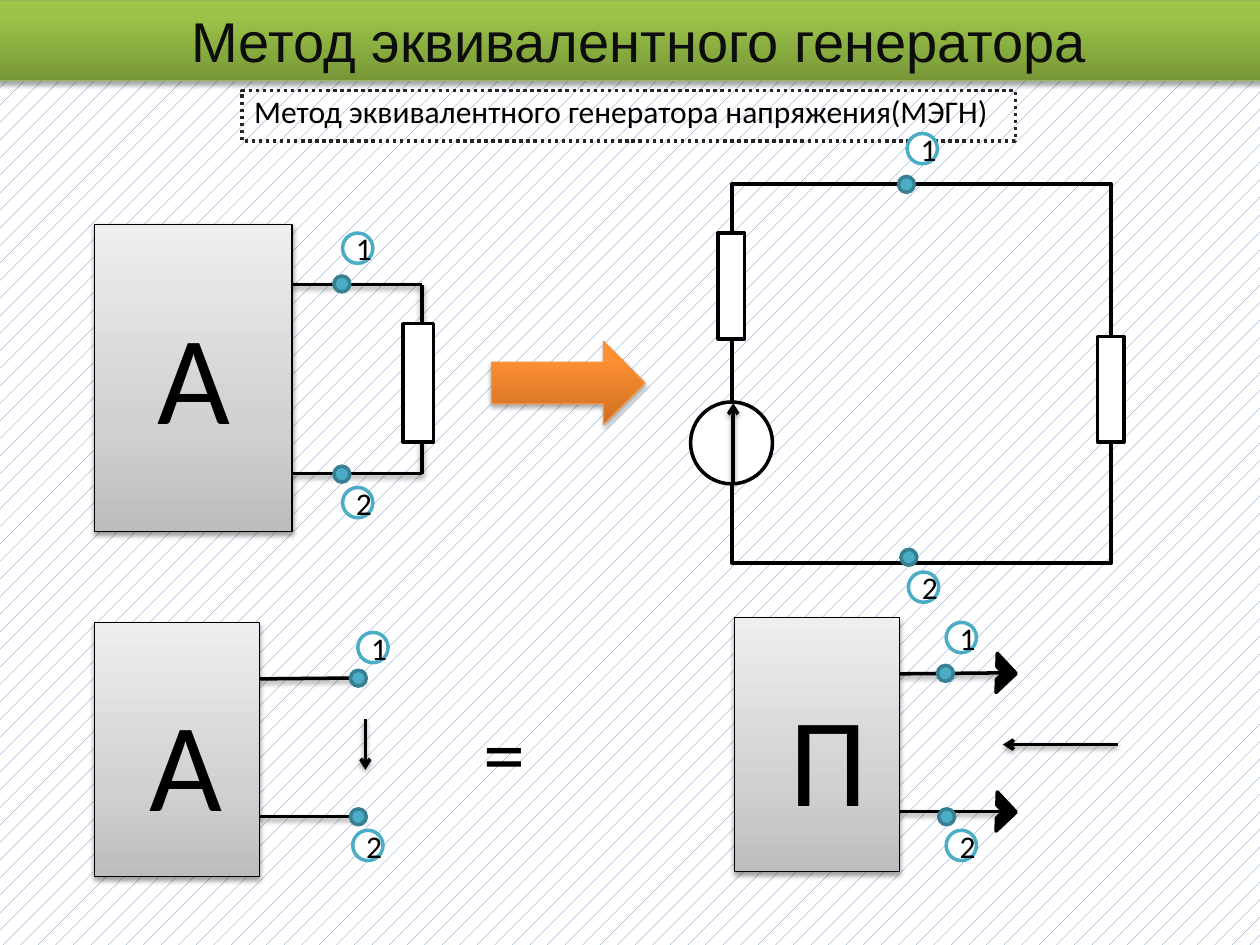
from lxml import etree
from pptx import Presentation
from pptx.dml.color import RGBColor
from pptx.enum.dml import MSO_LINE, MSO_PATTERN
from pptx.enum.shapes import MSO_CONNECTOR, MSO_SHAPE as Kind
from pptx.enum.text import MSO_ANCHOR, MSO_AUTO_SIZE, PP_ALIGN
from pptx.oxml.ns import qn
from pptx.util import Pt

COLORS = {
    "black": "000000", "white": "FFFFFF", "hatch": "4F81BD",
    "title": "0D0D0D", "frame": "262626", "band_line": "98B955",
    "arrow_line": "F69240", "dot": "4BACC6", "dot_line": "377F92",
}
GRADIENTS = {  # bottom to top
    "gray": [(0, "BDBDBD"), (35, "D1D1D1"), (100, "EEEEEE")],
    "orange": [(0, "CC6E20"), (80, "FF9034"), (100, "FF9136")],
    "green": [(0, "779737"), (80, "9BC348"), (100, "9DC746")],
}
SOFT, STRONG = (38, 1.6), (35, 1.8)  # shadow opacity in percent, distance
DOT, LABEL, HEAD = 9.1, 17.3, 15.8

TITLE = "Метод эквивалентного генератора"
SUBTITLE = "Метод эквивалентного генератора напряжения(МЭГН)"

WIRES = [  # x1, y1, x2, y2
    (133.2, 388.1, 207.4, 387.4), (133.2, 466.6, 207.4, 466.6),
    (121.7, 162.7, 241.2, 162.7), (241.2, 162.7, 241.2, 270.7),
    (241.2, 270.7, 121.7, 270.7),
    (499, 385.2, 573.1, 384.5), (490.3, 463.7, 573.1, 463.7),
]
ARROWS = [
    (208.8, 411.1, 208.8, 439.9), (419, 277.2, 419, 230.4),
    (638.6, 425.5, 573.1, 425.5),
]
BLOCKS = [  # left, top, width, height
    (54, 128.2, 113, 175.7), (54, 355.7, 94.3, 145.4),
    (419.8, 352.8, 94.3, 145.4),
]
LETTERS = [  # text, size, wrap, place
    ("А", 72, True, (82.8, 167, 131.8, 94.3)),
    ("А", 72, True, (78.5, 388.1, 109.4, 78.5)),
    ("П", 72, True, (444.2, 385.2, 109.4, 94.3)),
    ("=", 48, False, (269.3, 396.7, 32.4, 54)),
    (SUBTITLE, 18, False, (138.2, 49, 438.5, 28.8)),
]
RESISTORS = [
    (230.4, 185, 17.3, 67.7), (410.4, 133.2, 15.1, 60.5),
    (627.1, 192.2, 15.1, 60.5),
]
TERMINALS = [  # number, dot corner, label corner
    ("1", (190.8, 157.7), (195.8, 133.2)), ("2", (190.8, 266.4), (195.8, 278.6)),
    ("1", (513.4, 100.8), (518.4, 76.3)), ("2", (514.8, 313.9), (519.1, 326.9)),
    ("1", (200.2, 383), (204.5, 361.4)), ("2", (200.2, 462.2), (201.6, 474.5)),
    ("1", (535.7, 380.2), (540.7, 355.7)), ("2", (536.4, 462.2), (540.7, 474.5)),
]
HEADS = [(561.6, 376.6), (561.6, 455.8)]


def rgb(name):
    return RGBColor.from_string(COLORS[name])


def node(parent, tag, **values):
    return etree.SubElement(parent, qn(tag), {k: str(v) for k, v in values.items()})


def add_shadow(effects, shadow):
    opacity, distance = shadow
    outer = node(effects, "a:outerShdw", blurRad=Pt(3.1), dist=Pt(distance),
                 dir=5400000, rotWithShape=0)
    color = node(outer, "a:srgbClr", val=COLORS["black"])
    node(color, "a:alpha", val=opacity * 1000)


def paint_gradient(shape, stops):
    shape.fill.solid()
    solid = shape._element.spPr.find(qn("a:solidFill"))
    gradient = etree.Element(qn("a:gradFill"), rotWithShape="1")
    stop_list = node(gradient, "a:gsLst")
    for position, color in stops:
        stop = node(stop_list, "a:gs", pos=position * 1000)
        node(stop, "a:srgbClr", val=color)
    node(gradient, "a:lin", ang=16200000, scaled=0)
    solid.getparent().replace(solid, gradient)


def write(shape, text, size, color="black", font="Calibri", align=PP_ALIGN.CENTER):
    para = shape.text_frame.paragraphs[0]
    para.alignment = align
    span = para.add_run()
    span.text = text
    for key, value in {"size": Pt(size), "name": font}.items():
        setattr(span.font, key, value)
    span.font.color.rgb = rgb(color)


def add_figure(page, kind, place, fill=None, line="black", weight=2, shadow=None):
    shape = page.shapes.add_shape(kind, *map(Pt, place))
    if fill in GRADIENTS:
        paint_gradient(shape, GRADIENTS[fill])
    elif fill:
        shape.fill.solid()
        shape.fill.fore_color.rgb = rgb(fill)
    else:
        shape.fill.background()
    shape.line.color.rgb = rgb(line)
    shape.line.width = Pt(weight)
    shape.shadow.inherit = False
    if shadow:
        add_shadow(shape._element.spPr.find(qn("a:effectLst")), shadow)
    return shape


def add_wire(page, ends, arrow=False):
    wire = page.shapes.add_connector(MSO_CONNECTOR.STRAIGHT, *map(Pt, ends))
    wire.line.color.rgb = rgb("black")
    wire.line.width = Pt(2)
    if arrow:
        node(wire.line._get_or_add_ln(), "a:tailEnd", type="arrow")
    add_shadow(node(wire._element.spPr, "a:effectLst"), SOFT)


def add_text(page, text, size, wrap, place):
    box = page.shapes.add_textbox(*map(Pt, place))
    box.text_frame.word_wrap = wrap
    box.text_frame.auto_size = MSO_AUTO_SIZE.SHAPE_TO_FIT_TEXT
    write(box, text, size, align=PP_ALIGN.LEFT)


def main():
    deck = Presentation()
    deck.slide_width, deck.slide_height = Pt(720), Pt(540)
    page = deck.slides.add_slide(deck.slide_layouts[6])
    backdrop = page.background.fill
    backdrop.patterned()
    backdrop.pattern = MSO_PATTERN.PERCENT_5
    backdrop.fore_color.rgb = rgb("hatch")
    backdrop.back_color.rgb = rgb("white")

    band = add_figure(page, Kind.RECTANGLE, (-8.6, 0, 748, 46), "green",
                      "band_line", 0.75, STRONG)
    band.text_frame.vertical_anchor = MSO_ANCHOR.TOP
    write(band, TITLE, 32, "title", "Arial")
    frame = add_figure(page, Kind.RECTANGLE, (138.2, 51.8, 442, 28.8), line="frame")
    frame.line.dash_style = MSO_LINE.ROUND_DOT

    for ends in WIRES:
        add_wire(page, ends)
    for place in BLOCKS:
        add_figure(page, Kind.RECTANGLE, place, "gray", weight=0.75, shadow=SOFT)
    add_figure(page, Kind.RIGHT_ARROW, (280.8, 195.1, 87.8, 47.5), "orange",
               "arrow_line", 0.75, STRONG)
    for letter in LETTERS:
        add_text(page, *letter)

    add_figure(page, Kind.RECTANGLE, (418.3, 105.1, 216.7, 216.7))
    for place in RESISTORS:
        add_figure(page, Kind.RECTANGLE, place, "white")
    add_figure(page, Kind.OVAL, (394.6, 229.7, 46.8, 46.8), "white")
    for ends in ARROWS:
        add_wire(page, ends, arrow=True)
    for corner in HEADS:
        head = add_figure(page, Kind.HALF_FRAME, (*corner, HEAD, HEAD), "black")
        head.rotation = 136.8
    for number, dot, label in TERMINALS:
        add_figure(page, Kind.OVAL, (*dot, DOT, DOT), "dot", "dot_line")
        circle = add_figure(page, Kind.OVAL, (*label, LABEL, LABEL), "white", "dot")
        write(circle, number, 18)

    deck.save("out.pptx")


if __name__ == "__main__":
    main()
